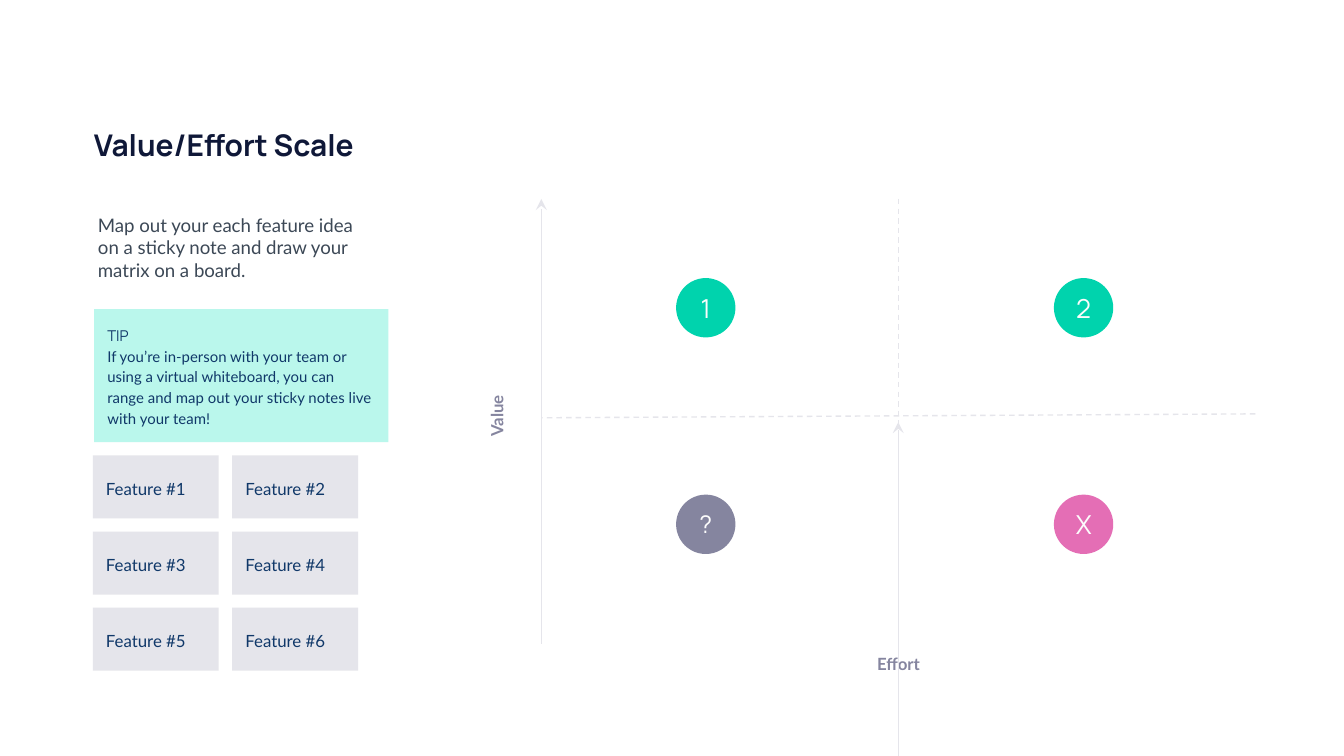
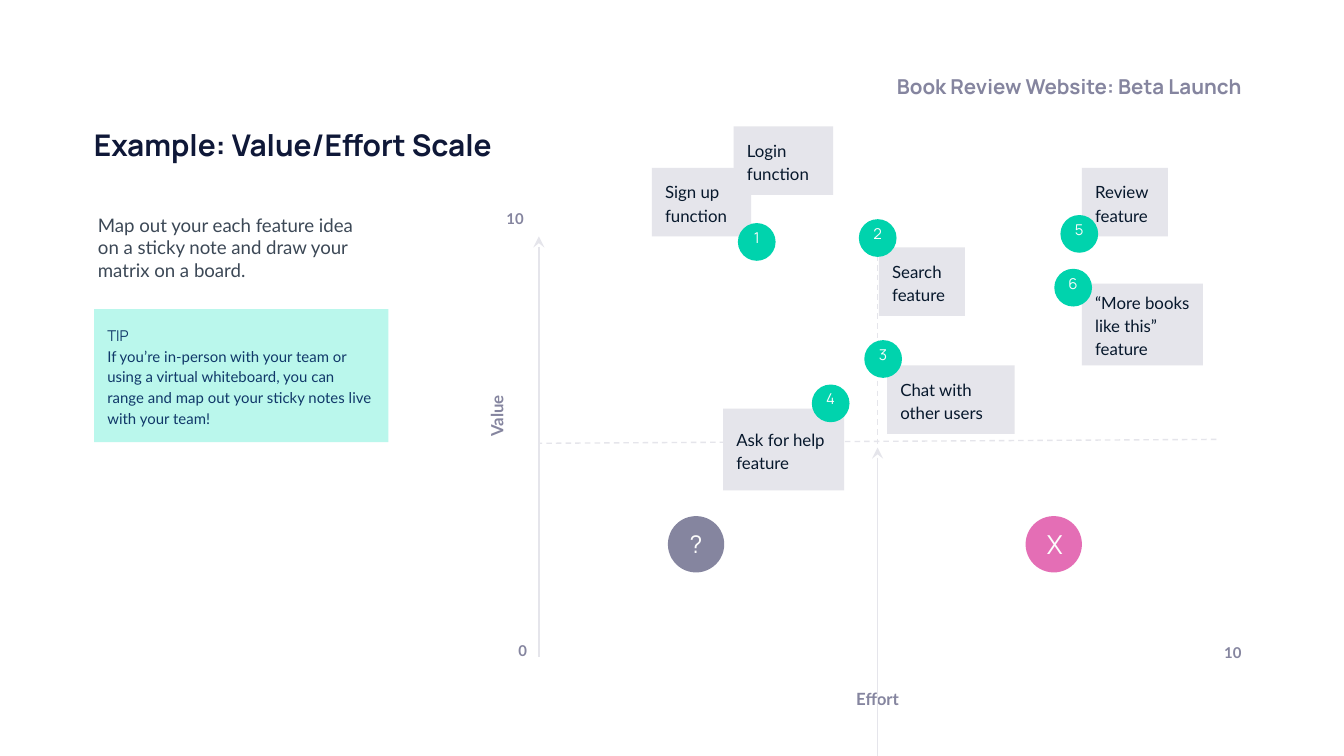
"""Build the two value/effort scale slides."""
import pptx
from lxml import etree
from pptx import util as u
from pptx.dml import color
from pptx.enum import dml, shapes, text
from pptx.oxml import ns

Pt = u.Pt
COLORS = {
    "white": "FFFFFF", "ink": "0F1838", "body": "3C4856", "navy": "103869",
    "note_text": "07182C", "muted": "85859F", "rule": "E5E5EB", "mint": "BAF7EC",
    "green": "00D3AD", "pink": "E46EB5", "label": "FCFCFC",
}
HEADING, BODY = "Manrope", "Lato"
INTRO = ("Map out your each feature idea on a sticky note "
         "and draw your matrix on a board.")
TIP = ("If you’re in-person with your team or using a virtual whiteboard, "
       "you can range and map out your sticky notes live with your team!")


def rgb(name):
    return color.RGBColor.from_string(COLORS[name])


class Sheet:
    def __init__(self):
        self.deck = pptx.Presentation()
        self.deck.slide_width, self.deck.slide_height = Pt(720), Pt(405)
        self.page = None

    def new_page(self, title):
        self.page = self.deck.slides.add_slide(self.deck.slide_layouts[6])
        fill = self.page.background.fill
        fill.solid()
        fill.fore_color.rgb = rgb("white")
        self.label(title, 43.2, 57.6, 467.3, 33.8, 16, "ink", HEADING,
                   bold=True, spacing=1.15, grow=False)
        self.label(INTRO, 45.4, 107.3, 157.7, 51, 10, "body")
        self.block([("TIP", HEADING), (TIP, BODY)],
                   50.4, 165.6, 157.7, 71.3, "mint", 8, "navy")
        self.label("Value", 244.8, 210.3, 46, 25.2, 9, "muted",
                   bold=True, align="CENTER").rotation = 270

    def set_text(self, shape, lines, size, ink, bold=False, align="LEFT", spacing=None):
        frame = shape.text_frame
        frame.word_wrap = True
        frame.margin_left = frame.margin_right = Pt(7.2)
        frame.margin_top = frame.margin_bottom = Pt(7.2)
        for index, (words, font) in enumerate(lines):
            para = frame.add_paragraph() if index else frame.paragraphs[0]
            para.alignment = text.PP_ALIGN[align]
            if spacing:
                para.line_spacing = spacing
            span = para.add_run()
            span.text = words
            span.font.name, span.font.size, span.font.bold = font, Pt(size), bold
            span.font.color.rgb = rgb(ink)
        return frame

    def label(self, words, left, top, width, height, size, ink, font=BODY,
              bold=False, align="LEFT", spacing=None, grow=True):
        box = self.page.shapes.add_textbox(Pt(left), Pt(top), Pt(width), Pt(height))
        frame = self.set_text(box, [(words, font)], size, ink, bold, align, spacing)
        if grow:
            frame.auto_size = text.MSO_AUTO_SIZE.SHAPE_TO_FIT_TEXT
        return box

    def filled(self, kind, left, top, width, height, fill):
        shape = self.page.shapes.add_shape(kind, Pt(left), Pt(top), Pt(width), Pt(height))
        shape.shadow.inherit = False
        shape.fill.solid()
        shape.fill.fore_color.rgb = rgb(fill)
        shape.line.fill.background()
        return shape

    def block(self, lines, left, top, width, height, fill, size, ink):
        box = self.filled(shapes.MSO_SHAPE.RECTANGLE, left, top, width, height, fill)
        frame = self.set_text(box, lines, size, ink, spacing=1.15)
        frame.vertical_anchor = text.MSO_ANCHOR.MIDDLE

    def note(self, words, left, top, width, height, ink="note_text"):
        self.block([(words, BODY)], left, top, width, height, "rule", 9, ink)

    def circle(self, mark, left, top, side, fill, size=14):
        disc = self.filled(shapes.MSO_SHAPE.OVAL, left, top, side, side, fill)
        frame = self.set_text(disc, [(mark, HEADING)], size, "label", align="CENTER")
        frame.vertical_anchor = text.MSO_ANCHOR.MIDDLE

    def badge(self, mark, left, top):
        self.filled(shapes.MSO_SHAPE.OVAL, left, top, 20.2, 20.2, "green")
        self.label(mark, left - 4.9, top - 1.9, 30, 24.5, 8, "label", HEADING,
                   align="CENTER")

    def line(self, x1, y1, x2, y2, dashed=False):
        rule = self.page.shapes.add_connector(
            shapes.MSO_CONNECTOR.STRAIGHT, Pt(x1), Pt(y1), Pt(x2), Pt(y2))
        rule.line.width = Pt(0.75)
        rule.line.color.rgb = rgb("rule")
        props = rule._element.spPr
        if dashed:
            rule.line.dash_style = dml.MSO_LINE.DASH
        else:
            etree.SubElement(props.find(ns.qn("a:ln")), ns.qn("a:headEnd"), type="stealth")
        etree.SubElement(props, ns.qn("a:effectLst"))

    def matrix(self, left, top, right, bottom):
        center, middle = (left + right) / 2, (top + bottom) / 2
        self.line(center, top, center, bottom, dashed=True)
        self.line(right, middle - 4, left, middle - 1.9, dashed=True)
        self.line(left, top, left, bottom)
        self.line(center, middle + 0.4, center, middle + 0.4 + bottom - top)

    def effort(self, left, top, width):
        self.label("Effort", left, top, width, 25.2, 9, "muted", bold=True, align="CENTER")


def blank_scale(sheet):
    sheet.new_page("Value/Effort Scale")
    for mark, left, top, fill, size in [
            ("1", 362.2, 149, "green", 14), ("2", 564.6, 149, "green", 14),
            ("X", 564.6, 265, "pink", 14), ("?", 362.2, 265, "muted", 13)]:
        sheet.circle(mark, left, top, 31.8, fill, size)
    sheet.effort(452.9, 344.9, 56.9)
    for index in range(6):
        row, column = divmod(index, 2)
        sheet.note(f"Feature #{index + 1}", 49.7 + 74.7 * column, 244 + 40.8 * row,
                   67.5, 33.8, "navy")
    sheet.matrix(290, 106.6, 672.5, 344.9)


def example_scale(sheet):
    sheet.new_page("Example: Value/Effort Scale")
    sheet.label("Book Review Website: Beta Launch", 360, 33.1, 312.5, 23.8, 11, "muted",
                HEADING, bold=True, align="RIGHT", grow=False)
    sheet.circle("X", 549.4, 276.5, 30.2, "pink")
    sheet.circle("?", 357.8, 276.5, 30.2, "muted", 13)
    sheet.effort(443.5, 363.6, 53.3)
    for words, left, top, width in [
            ("0", 270.7, 339.1, 17.3), ("10", 648.7, 339.8, 23.8), ("10", 264.2, 107.3, 30.2)]:
        sheet.label(words, left, top, width, 24.5, 8, "muted", bold=True)
    for words, left, top, width, height in [
            ("Search feature", 470.9, 132.5, 46.1, 36.7),
            ("Review feature", 579.6, 90, 46.1, 36.7),
            ("“More books like this” feature", 579.6, 151.9, 64.8, 43.9),
            ("Chat with other users", 475.2, 195.8, 68.4, 36.7)]:
        sheet.note(words, left, top, width, height)
    sheet.matrix(288.7, 126.7, 651.6, 352.1)
    for words, left, top, width, height in [
            ("Sign up function", 349.2, 90, 53.3, 36.7),
            ("Login function", 393.1, 67.7, 53.3, 36.7),
            ("Ask for help feature", 387.4, 218.9, 64.8, 43.9)]:
        sheet.note(words, left, top, width, height)
    for mark, left, top in [
            ("1", 395.3, 119.5), ("2", 460.1, 117.4), ("4", 434.9, 206),
            ("3", 463, 182.2), ("5", 568.1, 115.2), ("6", 564.8, 144)]:
        sheet.badge(mark, left, top)


def main():
    sheet = Sheet()
    blank_scale(sheet)
    example_scale(sheet)
    sheet.deck.save("out.pptx")


if __name__ == "__main__":
    main()
